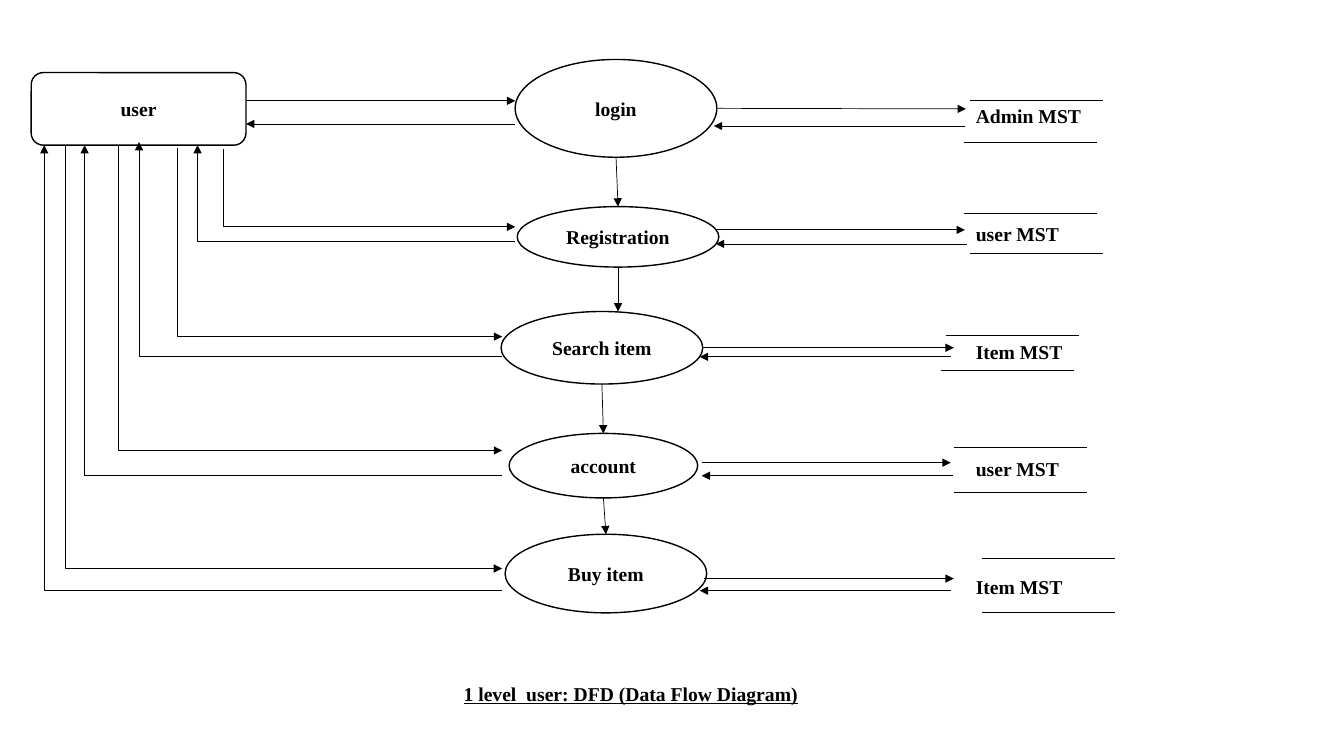
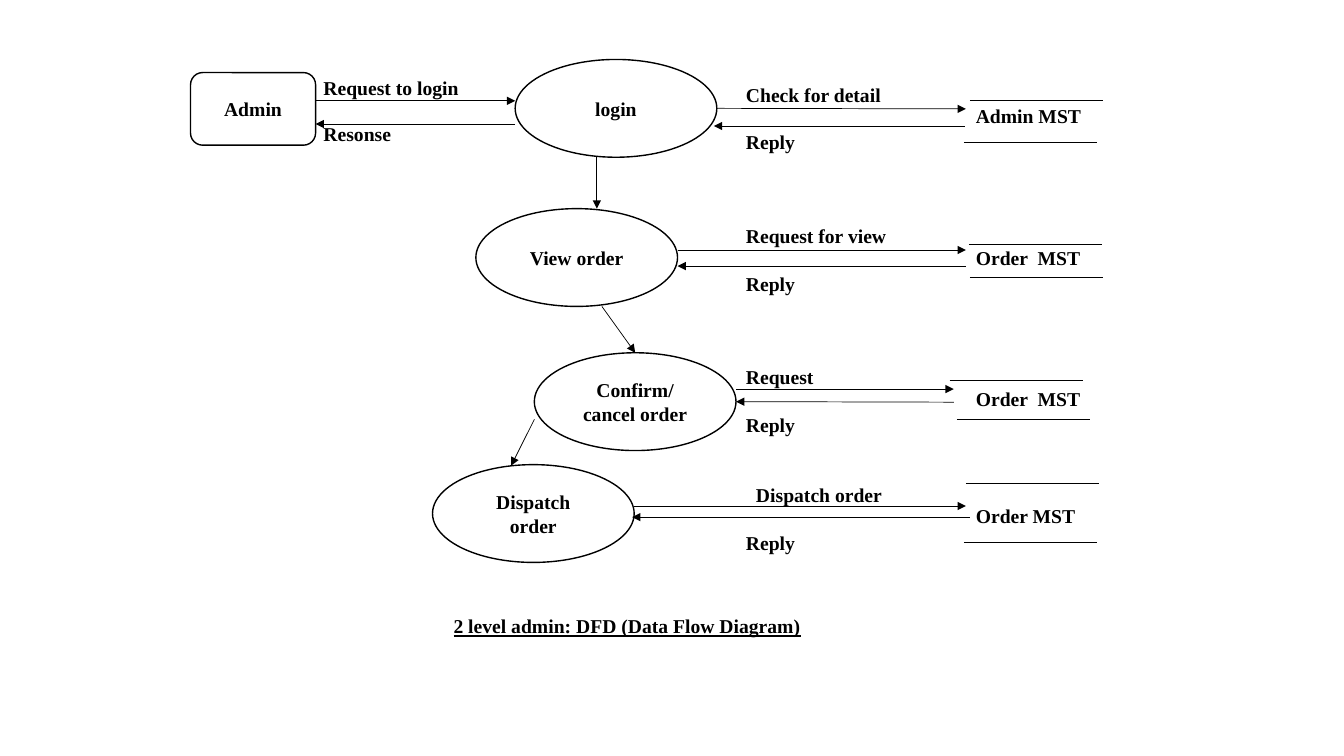
import collections

import lxml.etree
import pptx
import pptx.dml.color
import pptx.enum.shapes
import pptx.enum.text
import pptx.oxml.ns
import pptx.util

Inches = pptx.util.Inches
Pt = pptx.util.Pt
SHAPE = pptx.enum.shapes.MSO_SHAPE
CONNECTOR = pptx.enum.shapes.MSO_CONNECTOR
ALIGN = pptx.enum.text.PP_ALIGN
ANCHOR = pptx.enum.text.MSO_ANCHOR

COLORS = {"paper": "FFFFFF", "ink": "000000"}
FONT = {"name": "Times New Roman", "size": Pt(14), "bold": True}
FRAME = {"word_wrap": True, "vertical_anchor": ANCHOR.MIDDLE}
LABEL_H = 0.3
STORE_X = 9.58
RULE_W = 1.32
NEAR = 0.03

Row = collections.namedtuple(
    "Row", "process box ask reply store store_box shift store_y")

USER_ROWS = [
    Row("login", (5.11, 0.59, 2, 0.97), (7.11, 9.58, 1.08), (9.57, 7.08, 1.25),
        "Admin MST", (9.62, 1, 0.41), -0.06, 1.15),
    Row("Registration", (5.13, 2.05, 2, 0.6), (7.1, 9.57, 2.28), (9.59, 7.1, 2.42),
        "user MST", (9.56, 2.12, 0.39), 0.06, 2.32),
    Row("Search item", (4.97, 3.09, 2, 0.72), (6.99, 9.46, 3.45), (9.43, 6.94, 3.54),
        "Item MST", (9.38, 3.33, 0.34), -0.05, 3.49),
    Row("account", (5.05, 4.3, 1.87, 0.64), (6.96, 9.43, 4.59), (9.45, 6.96, 4.72),
        "user MST", (9.46, 4.44, 0.44), 0, 4.65),
    Row("Buy item", (5.01, 5.3, 2, 0.78), (6.98, 9.46, 5.74), (9.43, 6.94, 5.86),
        "Item MST", (9.74, 5.54, 0.54), 0, 5.82),
]
USER_STEPS = [
    ((6.11, 1.56), (6.13, 2.05)),
    ((6.13, 2.65), (6.13, 3.09)),
    ((5.97, 3.81), (5.98, 4.3)),
    ((5.98, 4.94), (6.01, 5.3)),
]
USER_REQUESTS = [
    ((0.65, 1.44), (4.98, 5.64)),
    ((1.17, 1.44), (4.98, 4.47)),
    ((1.76, 1.47), (4.98, 3.34)),
    ((2.22, 1.48), (5.11, 2.25)),
]
USER_RESPONSES = [
    ((4.98, 5.86), (0.44, 1.44)),
    ((4.98, 4.72), (0.84, 1.44)),
    ((4.98, 3.54), (1.38, 1.41)),
    ((5.11, 2.4), (1.96, 1.44)),
]

ADMIN_ROWS = [
    USER_ROWS[0],
    Row("View order", (4.72, 2.07, 2, 0.97), (6.72, 9.58, 2.48), (9.58, 6.72, 2.64),
        "Order  MST", (9.61, 2.42, 0.33), 0.01, 2.56),
    Row("Confirm/\ncancel order", (5.3, 3.5, 2, 0.97), (7.3, 9.46, 3.86), (9.46, 7.3, 3.99),
        "Order  MST", (9.42, 3.77, 0.39), 0.07, 3.96),
    Row("Dispatch order", (4.29, 4.61, 2, 0.97), (6.29, 9.58, 5.02), (9.62, 6.27, 5.13),
        "Order MST", (9.58, 4.8, 0.58), -0.02, 5.12),
]
ADMIN_STEPS = [
    ((5.92, 1.56), (5.92, 2.07)),
    ((5.97, 3.04), (6.3, 3.5)),
    ((5.3, 4.16), (5.07, 4.62)),
]
ADMIN_LABELS = [
    ("Request to login", 3.11, 0.87),
    ("Resonse", 3.11, 1.33),
    ("Check for detail", 7.3, 0.94),
    ("Reply", 7.3, 1.41),
    ("Request for view", 7.3, 2.34),
    ("Reply", 7.3, 2.81),
    ("Request", 7.3, 3.74),
    ("Reply", 7.3, 4.21),
    ("Dispatch order", 7.4, 4.91),
    ("Reply", 7.3, 5.38),
]


def color(key):
    """Return the shared colour with this key."""
    return pptx.dml.color.RGBColor.from_string(COLORS[key])


def write(shape, text, align, **extra):
    """Fill a shape with text in the shared style."""
    frame = shape.text_frame
    for key, value in FRAME.items():
        setattr(frame, key, value)
    frame.text = text
    for paragraph in frame.paragraphs:
        paragraph.alignment = align
        paragraph.font.color.rgb = color("ink")
        for key, value in {**FONT, **extra}.items():
            setattr(paragraph.font, key, value)


def label(slide, text, left, middle, width=1.94, **extra):
    """Add one line of text centred vertically on middle."""
    box = (left, middle - LABEL_H / 2, width, LABEL_H)
    write(slide.shapes.add_textbox(*map(Inches, box)), text, ALIGN.LEFT, **extra)


def node(slide, kind, text, box):
    """Add an outlined entity or process."""
    shape = slide.shapes.add_shape(kind, *map(Inches, box))
    shape.shadow.inherit = False
    shape.fill.solid()
    shape.fill.fore_color.rgb = color("paper")
    shape.line.color.rgb = color("ink")
    shape.line.width = Pt(1)
    write(shape, text, ALIGN.CENTER)
    return shape


def line(slide, start, end, kind=CONNECTOR.STRAIGHT, arrow=True):
    """Add a thin line, with an arrowhead at its end if wanted."""
    link = slide.shapes.add_connector(kind, *map(Inches, start + end))
    link.line.color.rgb = color("ink")
    link.line.width = Pt(0.5)
    properties = link._element.spPr
    if arrow:
        lxml.etree.SubElement(
            properties.ln, pptx.oxml.ns.qn("a:tailEnd"), type="triangle")
    lxml.etree.SubElement(properties, pptx.oxml.ns.qn("a:effectLst"))
    return link


def elbow(slide, start, end, turn):
    """Add a bent arrow that turns at this share of its width."""
    link = line(slide, start, end, CONNECTOR.ELBOW)
    guides = link._element.xpath(".//a:avLst")[0]
    lxml.etree.SubElement(guides, pptx.oxml.ns.qn("a:gd"),
                          name="adj1", fmla=f"val {turn * 100000}")


def side_at(process, point):
    """Return the side of a process whose middle is at the point, if any."""
    left, top, width, height = (
        length / Inches(1)
        for length in (process.left, process.top, process.width, process.height))
    middles = [(left + width / 2, top), (left, top + height / 2),
               (left + width / 2, top + height), (left + width, top + height / 2)]
    for side, (x, y) in enumerate(middles):
        if abs(x - point[0]) < NEAR and abs(y - point[1]) < NEAR:
            return side
    return None


def flow(slide, start, end, processes):
    """Add an arrow and join its ends to the ellipses they meet."""
    link = line(slide, start, end)
    ends = [(start, link.begin_connect, "a:stCxn"), (end, link.end_connect, "a:endCxn")]
    for point, connect, tag in ends:
        for process in processes:
            side = side_at(process, point)
            if side is not None:
                connect(process, side)
                link._element.xpath(f".//{tag}")[0].set("idx", str(side * 2))


def store(slide, box, shift, name, middle):
    """Add a data store: its name between two offset rules."""
    left, top, height = box
    for x, y in ((left, top), (left + shift, top + height)):
        line(slide, (x, y), (x + RULE_W, y), arrow=False)
    label(slide, name, STORE_X, middle)


def diagram(slide, entity, box, rows, steps):
    """Build the entity, its login exchange, the processes and the stores."""
    node(slide, SHAPE.ROUNDED_RECTANGLE, entity, box)
    processes = [node(slide, SHAPE.OVAL, row.process, row.box) for row in rows]
    edge, login = box[0] + box[2], rows[0].box[0]
    line(slide, (edge, 1), (login, 1))
    line(slide, (login, 1.23), (edge, 1.23))
    for row in rows:
        for begin, finish, y in (row.ask, row.reply):
            flow(slide, (begin, y), (finish, y), processes)
        store(slide, row.store_box, row.shift, row.store, row.store_y)
    for start, end in steps:
        flow(slide, start, end, processes)


def user_slide(slide):
    """Build the level 1 diagram of the user."""
    diagram(slide, "user", (0.31, 0.72, 2.13, 0.72), USER_ROWS, USER_STEPS)
    for turn, routes in enumerate((USER_REQUESTS, USER_RESPONSES)):
        for start, end in routes:
            elbow(slide, start, end, turn)
    label(slide, "1 level  user: DFD (Data Flow Diagram)", 4.5, 6.88, 4, underline=True)


def admin_slide(slide):
    """Build the level 2 diagram of the admin."""
    diagram(slide, "Admin", (1.89, 0.72, 1.24, 0.72), ADMIN_ROWS, ADMIN_STEPS)
    for text, left, middle in ADMIN_LABELS:
        label(slide, text, left, middle)
    label(slide, "2 level admin: DFD (Data Flow Diagram)", 4.4, 6.21, 4, underline=True)


def main():
    """Build and save the presentation."""
    deck = pptx.Presentation()
    deck.slide_width, deck.slide_height = Inches(13.33), Inches(7.5)
    for build in (user_slide, admin_slide):
        slide = deck.slides.add_slide(deck.slide_layouts[6])
        slide.background.fill.solid()
        slide.background.fill.fore_color.rgb = color("paper")
        build(slide)
    deck.save("out.pptx")


if __name__ == "__main__":
    main()
